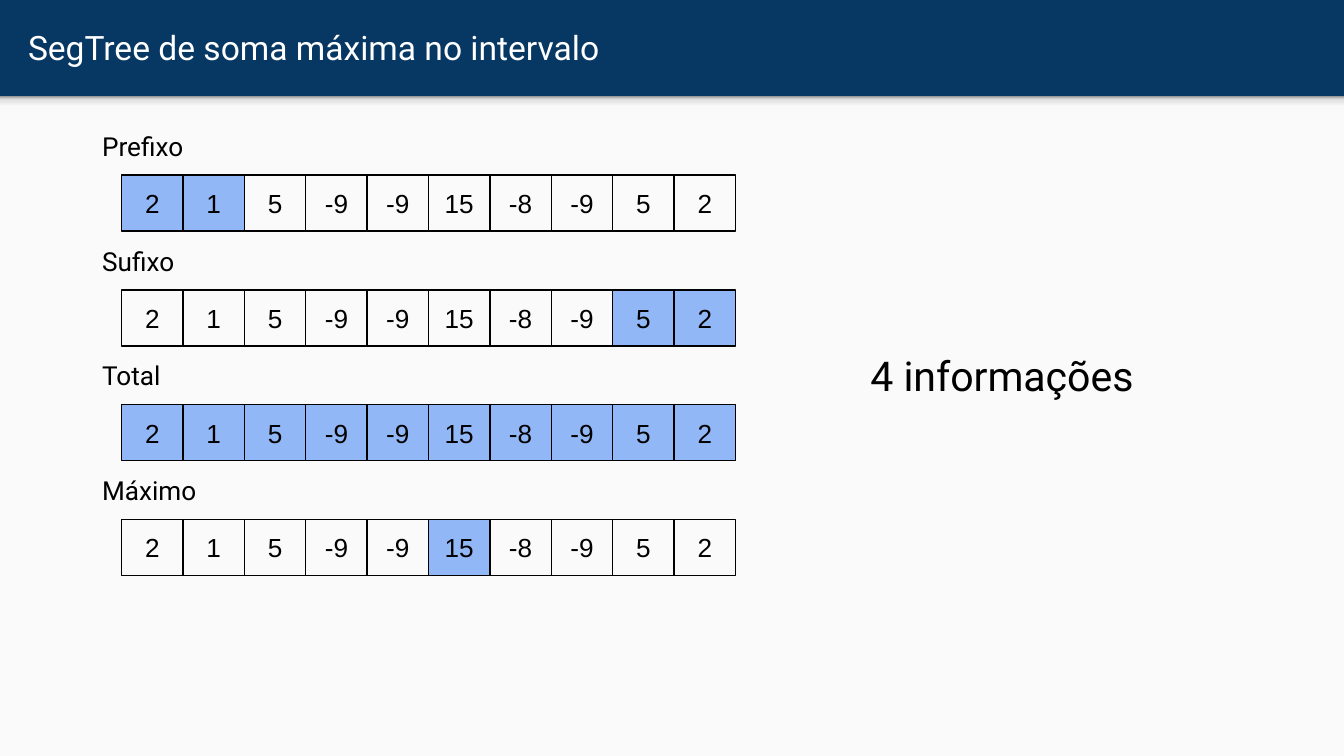
import pptx
import pptx.util
import pptx.dml.color
import pptx.enum.shapes
import pptx.enum.text
import pptx.oxml
import pptx.oxml.ns

Cm, Pt = pptx.util.Cm, pptx.util.Pt
Anchor, Align = pptx.enum.text.MSO_ANCHOR, pptx.enum.text.PP_ALIGN
NAVY, PAPER, BLUE, BLACK, WHITE = "073763", "FAFAFA", "4285F4", "000000", "FFFFFF"

VALUES = [2, 1, 5, -9, -9, 15, -8, -9, 5, 2]
ROWS = [  # label, first and end index of the marked cells
    ("Prefixo", 0, 2),
    ("Sufixo", 8, 10),
    ("Total", 0, 10),
    ("Máximo", 5, 6),
]
CELL_W, CELL_H = 1.16, 1.06
LEFT, TOP, PITCH = 2.3, 3.31, 2.17


def rgb(code):
    return pptx.dml.color.RGBColor.from_string(code)


def node(tag, **attrs):
    item = pptx.oxml.parse_xml(f"<a:{tag} {pptx.oxml.ns.nsdecls('a')}/>")
    for name, value in attrs.items():
        item.set(name, str(value))
    return item


class Page:
    font = "Roboto"
    inset = Cm(0.25)

    def __init__(self, deck):
        self.slide = deck.slides.add_slide(deck.slide_layouts[5])
        fill = self.slide.background.fill
        fill.solid()
        fill.fore_color.rgb = rgb(NAVY)

    def text(self, shape, words, size, color=BLACK, font=None,
             align=Align.LEFT, anchor=Anchor.TOP):
        frame = shape.text_frame
        frame.word_wrap = True
        frame.vertical_anchor = anchor
        frame.margin_left = frame.margin_right = self.inset
        frame.margin_top = frame.margin_bottom = self.inset
        para = frame.paragraphs[0]
        para.alignment = align
        run = para.add_run()
        run.text = words
        run.font.name = font or self.font
        run.font.size = Pt(size)
        run.font.color.rgb = rgb(color)

    def title(self, words, x, y, w, h):
        shape = self.slide.shapes.title
        shape.left, shape.top, shape.width, shape.height = map(Cm, (x, y, w, h))
        self.text(shape, words, 18, WHITE, anchor=Anchor.MIDDLE)

    def label(self, words, x, y, w, h, size=14):
        box = self.slide.shapes.add_textbox(*map(Cm, (x, y, w, h)))
        self.text(box, words, size)

    def rect(self, x, y, w, h, fill=None):
        """Add a plain rectangle without outline or shadow."""
        kind = pptx.enum.shapes.MSO_SHAPE.RECTANGLE
        shape = self.slide.shapes.add_shape(kind, *map(Cm, (x, y, w, h)))
        shape.shadow.inherit = False
        shape.line.fill.background()
        if fill:
            shape.fill.solid()
            shape.fill.fore_color.rgb = rgb(fill)
        else:
            shape.fill.background()
        return shape

    def shade(self, x, y, w, h, stops):
        """Add a band whose gradient runs from bottom to top."""
        band = self.rect(x, y, w, h)
        band.fill.gradient()
        band.fill.gradient_angle = 90
        items = band._element.spPr.find(".//" + pptx.oxml.ns.qn("a:gsLst"))
        for old in list(items):
            items.remove(old)
        for place, color in stops:
            stop = node("gs", pos=place * 1000)
            stop.append(node("srgbClr", val=color))
            items.append(stop)

    def cell(self, words, x, y, marked):
        shape = self.rect(x, y, CELL_W, CELL_H, BLUE if marked else None)
        if marked:
            color = shape._element.spPr.find(".//" + pptx.oxml.ns.qn("a:srgbClr"))
            color.append(node("alpha", val=57000))
        shape.line.color.rgb = rgb(BLACK)
        shape.line.width = Pt(0.75)
        self.text(shape, words, 14, font="Arial",
                  align=Align.CENTER, anchor=Anchor.MIDDLE)

    def row(self, name, y, first, end):
        """Add a label and, below it, the array with its marked cells."""
        for i, value in enumerate(VALUES):
            self.cell(str(value), LEFT + i * CELL_W, y, first <= i < end)
        self.label(name, 1.68, y - 1.1, 10.44, 1.12)


def main():
    deck = pptx.Presentation()
    deck.slide_width, deck.slide_height = Cm(25.4), Cm(14.29)
    page = Page(deck)
    page.rect(0, 1.82, 25.4, 12.47, PAPER)
    page.shade(0, 1.82, 25.4, 0.3,
               [(0, "F9F9F9"), (36, "F9F9F9"), (80, "DEDEDE"), (100, "999999")])
    page.title("SegTree de soma máxima no intervalo", 0.28, 0.05, 24.5, 1.68)
    for i, (name, first, end) in enumerate(ROWS):
        page.row(name, TOP + i * PITCH, first, end)
    page.label("4 informações", 16.2, 6.38, 6.27, 1.45, size=22)
    deck.save("out.pptx")


if __name__ == "__main__":
    main()
